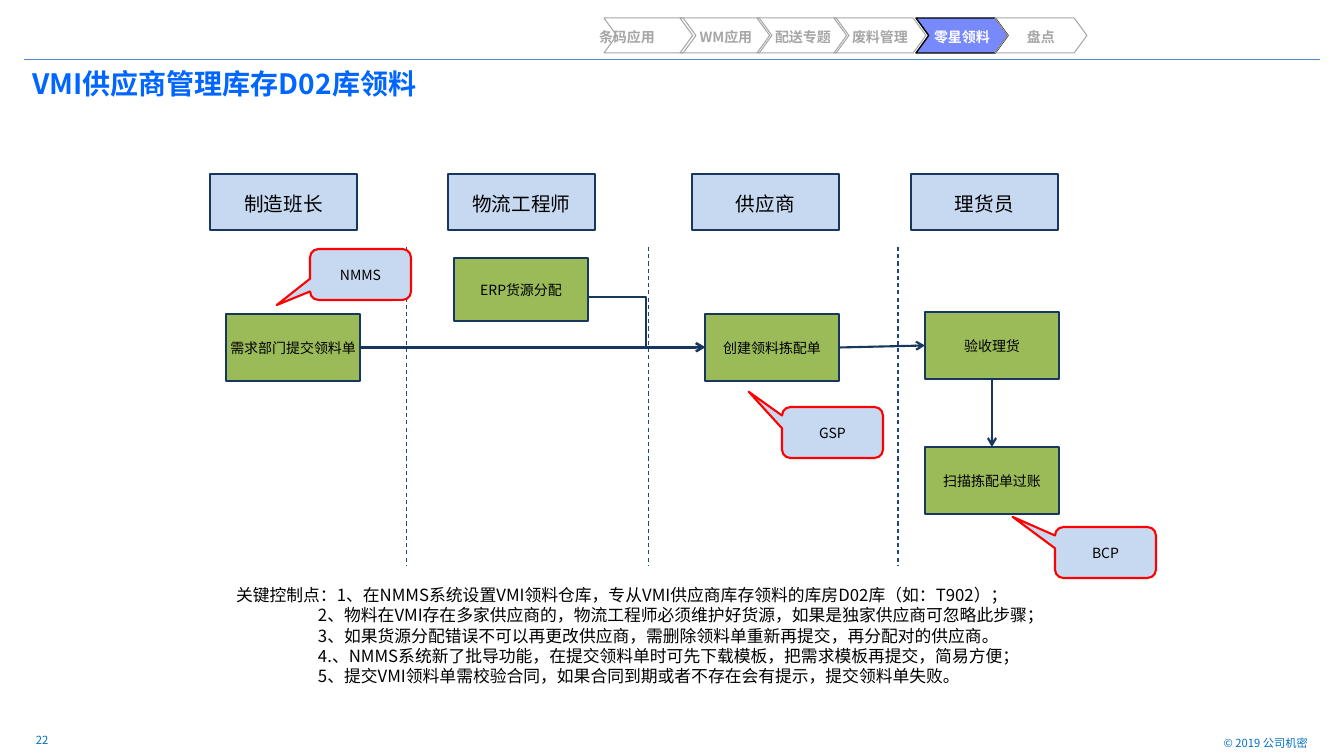
import pptx
import pptx.util
from lxml import etree
from pptx.dml.color import RGBColor
from pptx.enum.dml import MSO_LINE
from pptx.enum.shapes import MSO_CONNECTOR, MSO_SHAPE
from pptx.enum.text import MSO_ANCHOR, PP_ALIGN
from pptx.oxml.ns import qn

PX = 914400 / 100.8
FONT = "Noto Sans CJK SC"
BLACK = RGBColor(0x00, 0x00, 0x00)
WHITE = RGBColor(0xFF, 0xFF, 0xFF)
GREY = RGBColor(0xA6, 0xA6, 0xA6)
VIOLET = RGBColor(0x78, 0x89, 0xFB)
TITLE_BLUE = RGBColor(0x00, 0x66, 0xFF)
FOOTER_BLUE = RGBColor(0x00, 0x70, 0xC0)
RULE_BLUE = RGBColor(0x55, 0x8E, 0xD5)
LANE_BLUE = RGBColor(0x1F, 0x49, 0x7D)
NAVY = RGBColor(0x17, 0x37, 0x5E)
PALE_BLUE = RGBColor(0xC6, 0xD9, 0xF1)
GREEN = RGBColor(0x9B, 0xBB, 0x59)
RED = RGBColor(0xFF, 0x00, 0x00)

CHAPTERS = [("条码应用", 0), ("WM应用", 76), ("配送专题", 153),
            ("废料管理", 230), ("零星领料", 312), ("盘点", 391)]
CURRENT_CHAPTER = "零星领料"
ROLES = [("制造班长", 0), ("物流工程师", 238), ("供应商", 482), ("理货员", 701)]
NOTES = [
    "关键控制点：1、在NMMS系统设置VMI领料仓库，专从VMI供应商库存领料的库房D02库（如：T902）；",
    "2、物料在VMI存在多家供应商的，物流工程师必须维护好货源，如果是独家供应商可忽略此步骤；",
    "3、如果货源分配错误不可以再更改供应商，需删除领料单重新再提交，再分配对的供应商。",
    "4.、NMMS系统新了批导功能，在提交领料单时可先下载模板，把需求模板再提交，简易方便；",
    "5、提交VMI领料单需校验合同，如果合同到期或者不存在会有提示，提交领料单失败。",
]


def px(n):
    return pptx.util.Emu(round(n * PX))


def write(sp, text, size=10, color=BLACK, bold=False, align=PP_ALIGN.LEFT,
          anchor=MSO_ANCHOR.TOP, insets=(10, 5, 10, 5), spacing=None,
          hanging=0, wrap=True):
    """Fill a shape with text, one paragraph a line; hanging indents all but the first."""
    tf = sp.text_frame
    tf.word_wrap = wrap
    tf.vertical_anchor = anchor
    tf.margin_left, tf.margin_top, tf.margin_right, tf.margin_bottom = map(px, insets)
    for i, line in enumerate(text.split("\n")):
        p = tf.paragraphs[0] if i == 0 else tf.add_paragraph()
        p.alignment = align
        if spacing:
            p.line_spacing = spacing
        if i and hanging:
            p._p.get_or_add_pPr().set("marL", str(px(hanging)))
        r = p.add_run()
        r.text = line
        r.font.size = pptx.util.Pt(size)
        r.font.bold = bold
        r.font.name = FONT
        r.font.color.rgb = color
        etree.SubElement(r._r.get_or_add_rPr(), qn("a:ea")).set("typeface", FONT)


def add_text(slide, box, text, **fmt):
    write(slide.shapes.add_textbox(*map(px, box)), text, **fmt)


def add_box(slide, kind, box, fill, line, width=1.5):
    sp = slide.shapes.add_shape(kind, *map(px, box))
    sp.shadow.inherit = False
    if fill is None:
        sp.fill.background()
    else:
        sp.fill.solid()
        sp.fill.fore_color.rgb = fill
    sp.line.color.rgb = line
    sp.line.width = pptx.util.Pt(width)
    return sp


def add_line(slide, start, end, color, width=0.75, kind=MSO_CONNECTOR.STRAIGHT,
             dash=False, arrow=False):
    cx = slide.shapes.add_connector(kind, *map(px, (*start, *end)))
    cx.line.color.rgb = color
    cx.line.width = pptx.util.Pt(width)
    if dash:
        cx.line.dash_style = MSO_LINE.DASH
    if arrow:
        etree.SubElement(cx.line._get_or_add_ln(), qn("a:tailEnd")).set("type", "arrow")
    etree.SubElement(cx._element.spPr, qn("a:effectLst"))
    return cx


def add_label_box(slide, box, text, size=10, fill=GREEN, line=NAVY,
                  kind=MSO_SHAPE.RECTANGLE):
    sp = add_box(slide, kind, box, fill, line)
    write(sp, text, size=size, align=PP_ALIGN.CENTER, anchor=MSO_ANCHOR.MIDDLE,
          insets=(4, 4, 4, 4), spacing=1.1)
    return sp


def add_callout(slide, box, text, tip):
    sp = add_label_box(slide, box, text, fill=PALE_BLUE, line=RED,
                       kind=MSO_SHAPE.ROUNDED_RECTANGULAR_CALLOUT)
    sp.adjustments[0], sp.adjustments[1] = tip


def chapter_bar(slide, x, y):
    for i, (name, dx) in enumerate(CHAPTERS):
        current = name == CURRENT_CHAPTER
        sp = add_box(slide, MSO_SHAPE.CHEVRON, (x + dx, y, 92, 35),
                     VIOLET if current else None, BLACK if current else GREY,
                     1 if current else 0.75)
        sp.adjustments[0] = 0.365
        write(sp, name, color=WHITE if current else GREY, bold=True,
              align=PP_ALIGN.CENTER, anchor=MSO_ANCHOR.MIDDLE,
              insets=(10, 8, 10 if i else 56, 4), spacing=0.9, wrap=False)


def frame(slide, x, w):
    """Header rule, title and footer."""
    add_line(slide, (x, 60), (x + w, 60), RULE_BLUE)
    add_text(slide, (x, 65, w, 77), "VMI供应商管理库存D02库领料", size=20,
             color=TITLE_BLUE, bold=True, insets=(8, 5, 8, 5), spacing=0.9)
    add_text(slide, (x + 2, 728, 95, 24), "22", size=8, color=FOOTER_BLUE,
             anchor=MSO_ANCHOR.MIDDLE)
    add_text(slide, (x + w - 204, 731, 202, 20), "© 2019 公司机密", size=8,
             color=FOOTER_BLUE, align=PP_ALIGN.RIGHT)


def swimlanes(slide, x, y):
    for name, dx in ROLES:
        add_label_box(slide, (x + dx, y, 147, 56), name, size=14, fill=PALE_BLUE)
    for dx in (197, 439, 688):
        add_line(slide, (x + dx, y + 73), (x + dx, y + 392), LANE_BLUE, dash=True)


def process(slide, x, y):
    def task(dx, dy, text, h=67):
        return add_label_box(slide, (x + dx, y + dy, 134, h), text)

    def flow(a, a_site, b, b_site):
        cx = add_line(slide, (x, y), (x, y), NAVY, 1.5, arrow=True)
        cx.begin_connect(a, a_site)
        cx.end_connect(b, b_site)

    bottom, right, top, left = 2, 3, 0, 1
    request = task(0, 56, "需求部门提交领料单")
    task(228, 0, "ERP货源分配", h=63)
    picking = task(479, 56, "创建领料拣配单")
    check = task(699, 54, "验收理货")
    posting = task(699, 189, "扫描拣配单过账")
    flow(request, right, picking, left)
    flow(picking, right, check, left)
    flow(check, bottom, posting, top)
    add_line(slide, (x + 362, y + 39), (x + 479, y + 89), NAVY, 1.5,
             kind=MSO_CONNECTOR.ELBOW, arrow=True)
    for dx, dy, text, tip in [(84, -9, "NMMS", (-0.83, 0.6)),
                              (556, 149, "GSP", (-0.83, -0.8)),
                              (829, 269, "BCP", (-0.92, -0.7))]:
        add_callout(slide, (x + dx, y + dy, 101, 51), text, tip)


def main():
    prs = pptx.Presentation()
    prs.slide_width, prs.slide_height = px(1344), px(756)
    slide = prs.slides.add_slide(prs.slide_layouts[6])
    frame(slide, 24, 1296)
    swimlanes(slide, 210, 174)
    process(slide, 226, 258)
    add_text(slide, (226, 580, 855, 132), "\n".join(NOTES), size=12, hanging=82)
    chapter_bar(slide, 604, 18)
    prs.save("out.pptx")


if __name__ == "__main__":
    main()
